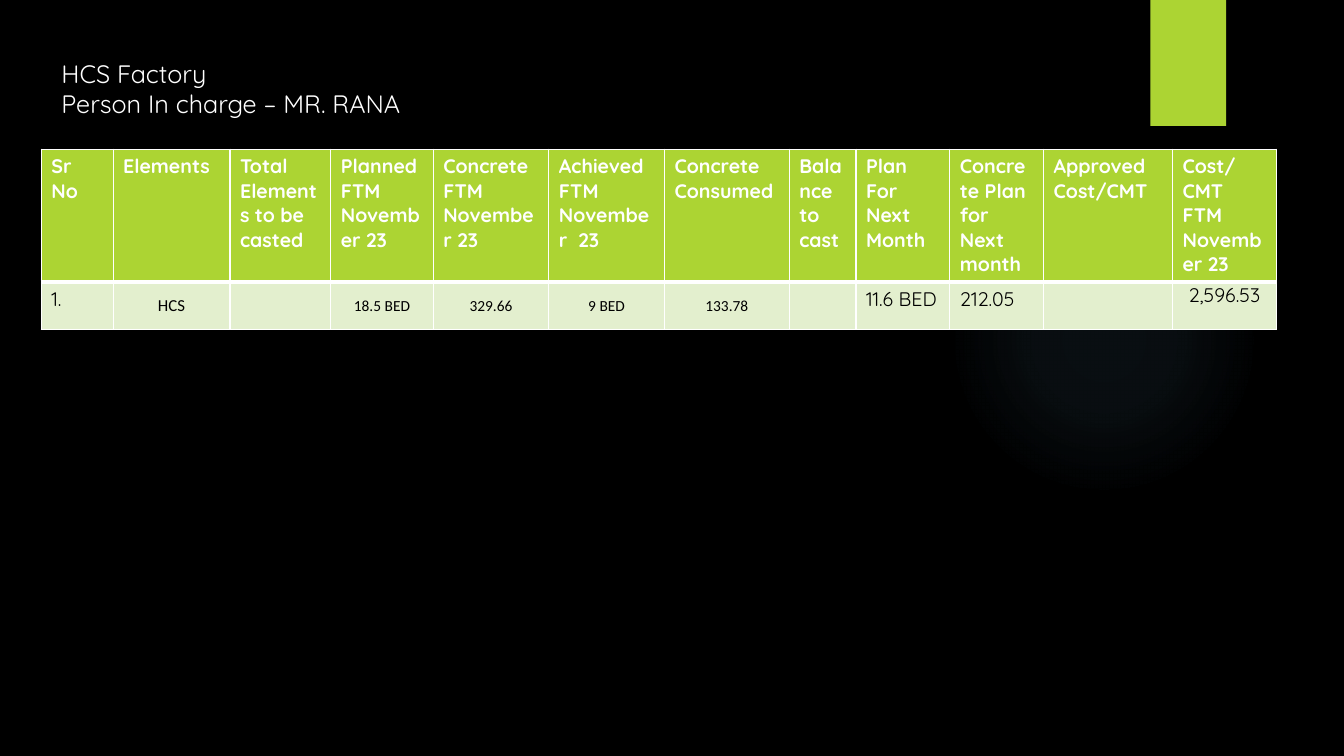
from dataclasses import dataclass

from lxml import etree
from pptx import Presentation
from pptx.dml.color import RGBColor
from pptx.enum.shapes import MSO_SHAPE
from pptx.enum.text import MSO_ANCHOR, PP_ALIGN
from pptx.oxml import parse_xml
from pptx.oxml.ns import qn
from pptx.util import Pt

TOP, MIDDLE = MSO_ANCHOR.TOP, MSO_ANCHOR.MIDDLE
LEFT, CENTER = PP_ALIGN.LEFT, PP_ALIGN.CENTER
OVAL, RECTANGLE = MSO_SHAPE.OVAL, MSO_SHAPE.RECTANGLE
GREEN, PALE, WHITE, BLACK, GLOW = "ACD433", "E3EFCE", "FFFFFF", "000000", "7AC4F0"
A_NS = "http://schemas.openxmlformats.org/drawingml/2006/main"


@dataclass(frozen=True)
class CellStyle:
    fill: str
    color: str
    size: float = 14
    font: str = "Quicksand"
    bold: bool = False
    align: PP_ALIGN = LEFT
    anchor: MSO_ANCHOR = TOP
    tight: bool = False
    bottom_line: float = 1


@dataclass(frozen=True)
class Column:
    width: float
    heading: str
    value: str
    style: CellStyle


HEADING = CellStyle(GREEN, WHITE, bold=True, bottom_line=3)
PLAIN = CellStyle(PALE, BLACK)
NAME = CellStyle(PALE, BLACK, 12, "Calibri", align=CENTER, anchor=MIDDLE, tight=True)
FIGURE = CellStyle(PALE, BLACK, 11, "Calibri", align=CENTER, anchor=MIDDLE, tight=True)
COST = CellStyle(PALE, BLACK, align=CENTER, tight=True)

COLUMNS = [
    Column(51.3, "Sr No", "1.", PLAIN),
    Column(83.5, "Elements", "HCS", NAME),
    Column(72, "Total Elements to be casted", "", PLAIN),
    Column(73.2, "Planned FTM November 23", "18.5 BED", FIGURE),
    Column(82.6, "Concrete FTM November 23", "329.66", FIGURE),
    Column(82.6, "Achieved FTM November  23", "9 BED", FIGURE),
    Column(89.2, "Concrete Consumed", "133.78", FIGURE),
    Column(47.7, "Balance to cast", "", PLAIN),
    Column(67, "Plan For Next Month", "11.6 BED", PLAIN),
    Column(67, "Concrete Plan for Next month", "212.05", PLAIN),
    Column(92.1, "Approved Cost/CMT", "", PLAIN),
    Column(74.3, "Cost/CMT FTM November 23", "2,596.53", COST),
]


def rgb(value: str) -> RGBColor:
    return RGBColor.from_string(value)


def format_run(r, font: str, size: float, color: str, bold: bool = False) -> None:
    r.font.name = font
    r.font.size = Pt(size)
    r.font.bold = bold
    r.font.color.rgb = rgb(color)


def add_shape(slide, kind, left: float, top: float, width: float, height: float, color: str):
    sp = slide.shapes.add_shape(kind, Pt(left), Pt(top), Pt(width), Pt(height))
    sp.shadow.inherit = False
    sp.fill.solid()
    sp.fill.fore_color.rgb = rgb(color)
    sp.line.fill.background()
    return sp


def fade_radially(sp, color: str, stops: list[tuple[int, int]]) -> None:
    """Replace the solid fill by a circular gradient of (position, opacity) percentages."""
    gs = "".join(
        f'<a:gs pos="{pos * 1000}"><a:srgbClr val="{color}">'
        f'<a:alpha val="{alpha * 1000}"/></a:srgbClr></a:gs>'
        for pos, alpha in stops
    )
    gradient = parse_xml(
        f'<a:gradFill xmlns:a="{A_NS}" rotWithShape="1"><a:gsLst>{gs}</a:gsLst>'
        '<a:path path="circle"><a:fillToRect l="50000" t="50000" r="50000" b="50000"/>'
        "</a:path></a:gradFill>"
    )
    solid = sp._element.spPr.find(qn("a:solidFill"))
    solid.getparent().replace(solid, gradient)


def add_borders(cell, bottom: float) -> None:
    tc_pr = cell._tc.get_or_add_tcPr()
    for side, width in (("L", 1), ("R", 1), ("T", 1), ("B", bottom)):
        ln = etree.SubElement(tc_pr, qn(f"a:ln{side}"), w=str(Pt(width)))
        solid = etree.SubElement(ln, qn("a:solidFill"))
        etree.SubElement(solid, qn("a:srgbClr"), val=WHITE)


def fill_cell(cell, text: str, style: CellStyle) -> None:
    add_borders(cell, style.bottom_line)
    cell.fill.solid()
    cell.fill.fore_color.rgb = rgb(style.fill)
    cell.vertical_anchor = style.anchor
    if style.tight:
        cell.margin_left = cell.margin_right = cell.margin_top = Pt(0.75)
        cell.margin_bottom = Pt(0)
    if text:
        cell.text_frame.text = text
        p = cell.text_frame.paragraphs[0]
        p.alignment = style.align
        format_run(p.runs[0], style.font, style.size, style.color, style.bold)


def add_title(slide) -> None:
    title = slide.shapes.title
    title.left, title.top, title.width, title.height = Pt(36.7), Pt(38.2), Pt(480), Pt(51)
    tf = title.text_frame
    tf.word_wrap = True
    tf.vertical_anchor = TOP
    tf.text = "HCS Factory\vPerson In charge – MR. RANA"
    p = tf.paragraphs[0]
    p.alignment = LEFT
    p.line_spacing = 1.0
    p.space_before = Pt(0)
    for r in p.runs:
        format_run(r, "Quicksand", 18, WHITE)


def add_plan_table(slide) -> None:
    width = sum(column.width for column in COLUMNS)
    frame = slide.shapes.add_table(2, len(COLUMNS), Pt(29.5), Pt(106.5), Pt(width), Pt(124.6))
    table = frame.table
    table.rows[0].height, table.rows[1].height = Pt(90.8), Pt(33.8)
    for i, column in enumerate(COLUMNS):
        table.columns[i].width = Pt(column.width)
        fill_cell(table.cell(0, i), column.heading, HEADING)
        fill_cell(table.cell(1, i), column.value, column.style)


def main() -> None:
    prs = Presentation()
    prs.slide_width, prs.slide_height = Pt(960), Pt(540)
    slide = prs.slides.add_slide(prs.slide_layouts[5])
    slide.background.fill.solid()
    slide.background.fill.fore_color.rgb = rgb(BLACK)

    glow = add_shape(slide, OVAL, 677.5, 131.8, 221.8, 221.8, GLOW)
    fade_radially(glow, GLOW, [(0, 7), (36, 6), (69, 0), (100, 0)])
    add_shape(slide, RECTANGLE, 821.8, 0, 54, 90, GREEN)
    add_plan_table(slide)
    add_title(slide)
    prs.save("out.pptx")


if __name__ == "__main__":
    main()
